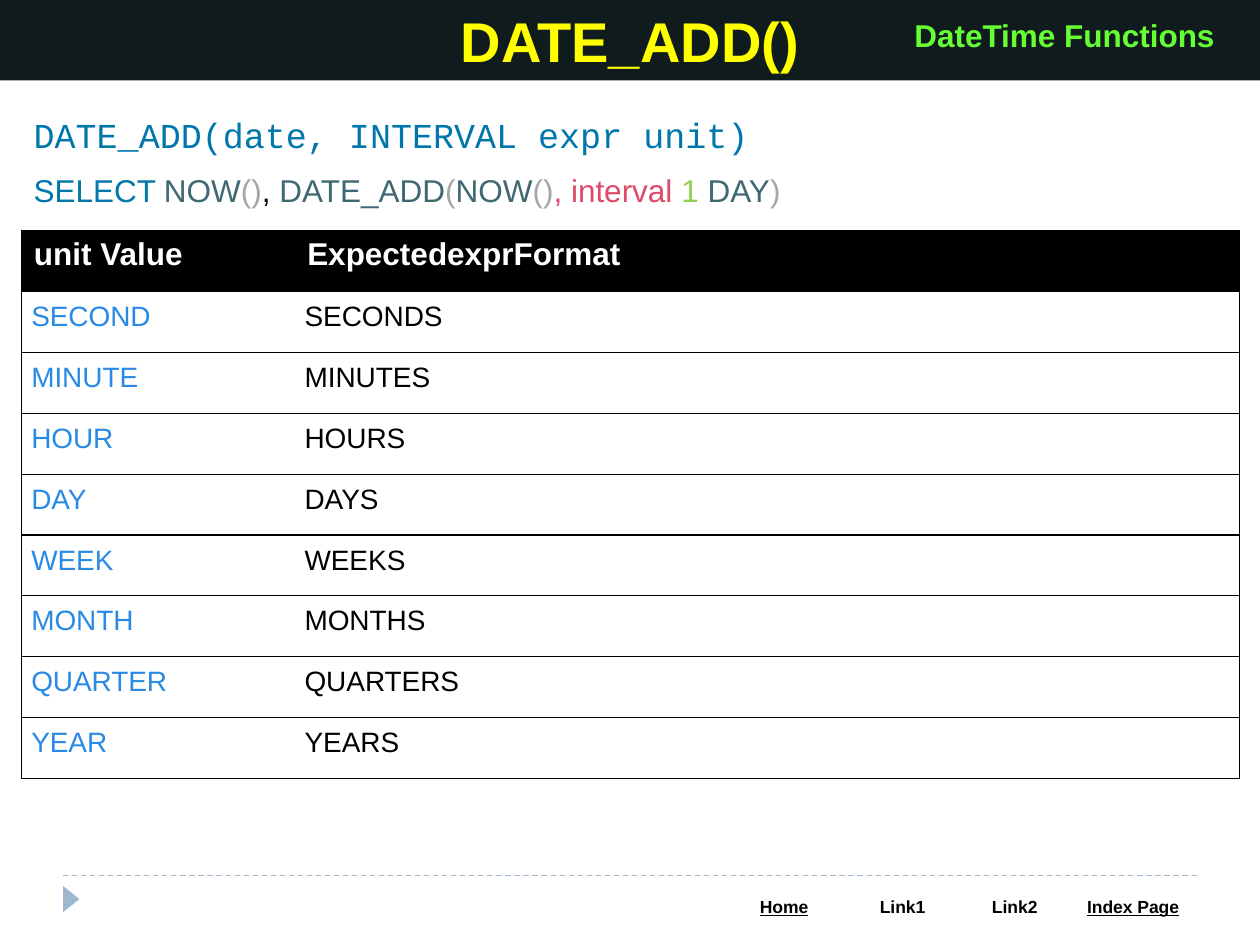
from dataclasses import dataclass

from lxml.etree import SubElement
from pptx import Presentation
from pptx.dml.color import RGBColor
from pptx.enum.dml import MSO_LINE_DASH_STYLE as Dash
from pptx.enum.shapes import MSO_CONNECTOR as Connector, MSO_SHAPE as Preset
from pptx.enum.text import MSO_ANCHOR as Anchor, PP_ALIGN as Align
from pptx.oxml.ns import qn
from pptx.util import Cm, Pt

BLACK = RGBColor(0x00, 0x00, 0x00)
WHITE = RGBColor(0xFF, 0xFF, 0xFF)
BAR = RGBColor(0x10, 0x1B, 0x1D)
YELLOW = RGBColor(0xFF, 0xFF, 0x00)
GREEN = RGBColor(0x66, 0xFF, 0x33)
KEYWORD = RGBColor(0x00, 0x77, 0xAA)
FUNCTION = RGBColor(0x3F, 0x69, 0x71)
BRACKET = RGBColor(0xA6, 0xA6, 0xA6)
INTERVAL = RGBColor(0xDD, 0x4A, 0x68)
NUMBER = RGBColor(0x92, 0xD0, 0x50)
UNIT = RGBColor(0x29, 0x8A, 0xE5)
ACCENT = RGBColor(0x9F, 0xB8, 0xCD)

MARGIN = 0.43
CONTENT_WIDTH = 24.56


@dataclass
class Span:
    text: str
    color: RGBColor
    size: float = 18
    bold: bool = False
    underline: bool = False
    font: str = "Arial"


@dataclass
class Place:
    left: float
    top: float
    width: float
    height: float

    def lengths(self) -> tuple:
        return Cm(self.left), Cm(self.top), Cm(self.width), Cm(self.height)


def write(para, spans: list[Span], align=Align.LEFT) -> None:
    para.alignment = align
    for span in spans:
        run = para.add_run()
        run.text = span.text
        font = run.font
        font.name, font.size = span.font, Pt(span.size)
        font.bold, font.underline = span.bold, span.underline
        font.color.rgb = span.color


def add_text(page, place: Place, spans: list[Span], align=Align.LEFT, wrap: bool = True) -> None:
    frame = page.shapes.add_textbox(*place.lengths()).text_frame
    frame.word_wrap = wrap
    write(frame.paragraphs[0], spans, align)


def add_preset(page, preset, place: Place, color: RGBColor):
    shape = page.shapes.add_shape(preset, *place.lengths())
    shape.shadow.inherit = False
    shape.fill.solid()
    shape.fill.fore_color.rgb = color
    shape.line.fill.background()
    return shape


def add_grid(page, place: Place, widths: list[float], row_count: int):
    table = page.shapes.add_table(row_count, len(widths), *place.lengths()).table
    table.first_row = table.horz_banding = False
    for column, width in zip(table.columns, widths):
        column.width = Cm(width)
    return table


def set_borders(cell, visible: str) -> None:
    properties = cell._tc.get_or_add_tcPr()
    for side in "LRTB":
        line = SubElement(properties, qn(f"a:ln{side}"), w=str(Pt(0.75)))
        if side in visible:
            fill = SubElement(line, qn("a:solidFill"))
            SubElement(fill, qn("a:srgbClr"), val=str(BLACK))
        else:
            SubElement(line, qn("a:noFill"))


def fill_cell(cell, span: Span, color: RGBColor, borders: str = "", align=Align.LEFT) -> None:
    set_borders(cell, borders)
    cell.fill.solid()
    cell.fill.fore_color.rgb = color
    write(cell.text_frame.paragraphs[0], [span], align)


def add_footer(page) -> None:
    marker = add_preset(page, Preset.ISOSCELES_TRIANGLE, Place(1.17, 17.96, 0.53, 0.33), ACCENT)
    marker.rotation = 90
    rule = page.shapes.add_connector(Connector.STRAIGHT, Cm(1.27), Cm(17.65), Cm(24.13), Cm(17.65))
    rule.line.color.rgb = ACCENT
    rule.line.width = Pt(0.75)
    rule.line.dash_style = Dash.DASH
    SubElement(rule._element.spPr, qn("a:effectLst"))
    links = [("Home", True), ("Link1", False), ("Link2", False), ("Index Page", True)]
    table = add_grid(page, Place(14.61, 17.98, 9.55, 0.36), [2.39, 2.39, 2.13, 2.64], 1)
    for cell, (label, underline) in zip(table.rows[0].cells, links):
        fill_cell(cell, Span(label, BLACK, 10, True, underline), WHITE, align=Align.CENTER)


def add_units(page) -> None:
    units = ["SECOND", "MINUTE", "HOUR", "DAY", "WEEK", "MONTH", "QUARTER", "YEAR"]
    place = Place(MARGIN, 4.65, CONTENT_WIDTH, 11.05)
    table = add_grid(page, place, [5.51, 19.05], len(units) + 1)
    for column, (heading, side) in enumerate([("unit Value", "L"), ("ExpectedexprFormat", "R")]):
        fill_cell(table.cell(0, column), Span(heading, WHITE, bold=True), BLACK, side + "TB")
        for row, unit in enumerate(units, start=1):
            span = Span(unit + "S", BLACK, 16) if column else Span(unit, UNIT, 16)
            cell = table.cell(row, column)
            cell.margin_left = cell.margin_right = Cm(0.2)
            cell.margin_top = cell.margin_bottom = Cm(0.2)
            fill_cell(cell, span, WHITE, side + "TB")


def main() -> None:
    deck = Presentation()
    deck.slide_width, deck.slide_height = Cm(25.4), Cm(19.05)
    page = deck.slides.add_slide(deck.slide_layouts[6])
    add_footer(page)

    title = add_preset(page, Preset.RECTANGLE, Place(0, 0, 25.4, 1.62), BAR)
    title.text_frame.vertical_anchor = Anchor.MIDDLE
    write(title.text_frame.paragraphs[0], [Span("DATE_ADD()", YELLOW, 32, True)], Align.CENTER)

    syntax = Span("DATE_ADD(date, INTERVAL expr unit)", KEYWORD, 20, font="Courier New")
    add_text(page, Place(MARGIN, 2.16, CONTENT_WIDTH, 1.12), [syntax])
    add_units(page)
    topic = Span("DateTime Functions", GREEN, bold=True)
    add_text(page, Place(18.11, 0.2, 6.63, 1.02), [topic], Align.RIGHT, wrap=False)

    query = [
        Span("SELECT", KEYWORD),
        Span(" ", BLACK, 16),
        Span("NOW", FUNCTION),
        Span("()", BRACKET),
        Span(", ", BLACK),
        Span("DATE_ADD", FUNCTION),
        Span("(", BRACKET),
        Span("NOW", FUNCTION),
        Span("()", BRACKET),
        Span(", interval ", INTERVAL),
        Span("1 ", NUMBER),
        Span("DAY", FUNCTION),
        Span(")", BRACKET),
    ]
    add_text(page, Place(MARGIN, 3.33, CONTENT_WIDTH, 1.02), query)
    deck.save("out.pptx")


if __name__ == "__main__":
    main()
